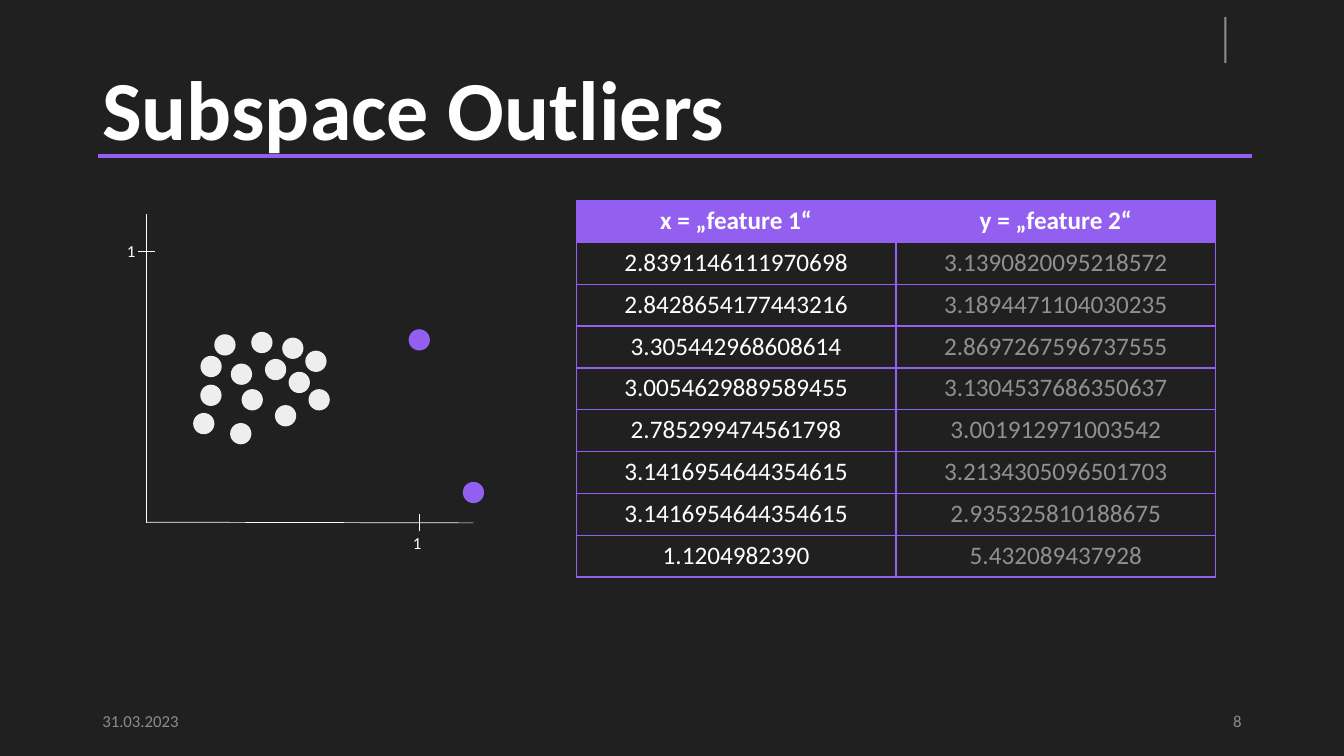
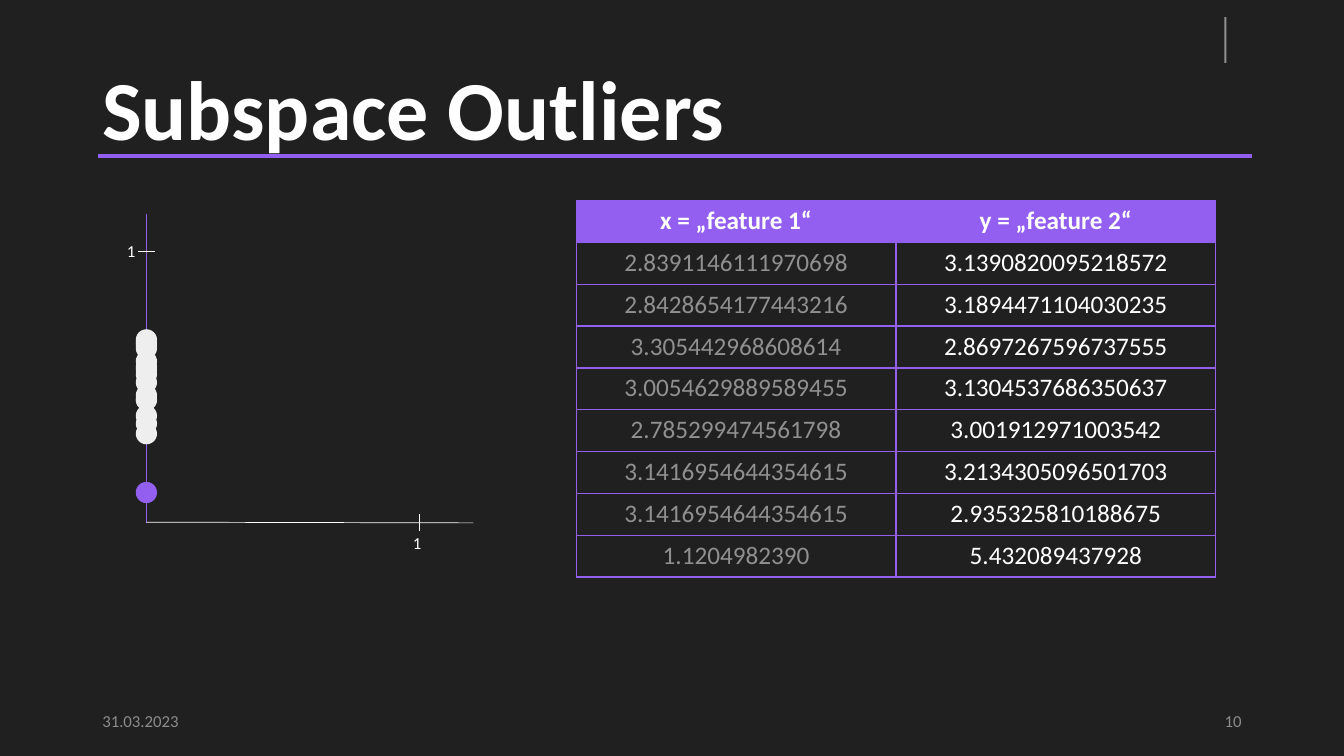
"""Builds two slides on outliers in a pair of features and in one feature."""
from dataclasses import dataclass
from typing import Any

from lxml.etree import SubElement
from pptx import Presentation
from pptx.dml.color import RGBColor
from pptx.enum.shapes import MSO_CONNECTOR, MSO_SHAPE
from pptx.enum.text import MSO_ANCHOR, PP_ALIGN
from pptx.oxml.ns import qn
from pptx.util import Pt

HUES = {
    "back": "202020",
    "text": "FFFFFF",
    "main": "925FF0",
    "dot": "EEEEEE",
    "dim": "909090",
    "foot": "8C8C8C",
}
FONT = "Calibri"
HEADS = ("x = „feature 1“", "y = „feature 2“")
ROWS = (
    ("2.8391146111970698", "3.1390820095218572"),
    ("2.8428654177443216", "3.1894471104030235"),
    ("3.305442968608614", "2.8697267596737555"),
    ("3.0054629889589455", "3.1304537686350637"),
    ("2.785299474561798", "3.001912971003542"),
    ("3.1416954644354615", "3.2134305096501703"),
    ("3.1416954644354615", "2.935325810188675"),
    ("1.1204982390", "5.432089437928"),
)
AXIS_X, AXIS_Y = 104.6, 373.5
TICK_X, TICK_Y = 299.5, 179.3
TICK = 6
SIZE = 15.2


@dataclass(frozen=True)
class Dot:
    """Centre of one data point."""
    x: float
    y: float


@dataclass(frozen=True)
class Page:
    """What sets one slide apart: number, lit column, flat dots, marked dots."""
    num: int
    lit: int
    flat: bool
    marked: tuple["Dot", ...]


EDGE = Dot(299.5, 242.8)
FAR = Dot(338.2, 351.8)
DOTS = (
    Dot(180.2, 285.6), Dot(225.7, 258.1), Dot(145.6, 302.6), Dot(172, 309.8),
    Dot(196.9, 264), Dot(213.8, 273.2), Dot(172.5, 267.3), Dot(150.8, 261.8),
    Dot(187.1, 244.7), Dot(160.7, 246.4), Dot(204, 297), Dot(209.2, 248.8),
    Dot(228, 285.6), Dot(150.7, 282.4), EDGE, FAR,
)
PAGES = (Page(8, 0, False, (EDGE, FAR)), Page(10, 1, True, (FAR,)))


def tint(name: str) -> RGBColor:
    """Return a named colour."""
    return RGBColor.from_string(HUES[name])


def style(para: Any, size: float, hue: str, bold: bool = False) -> None:
    """Format the runs of a paragraph."""
    for run in para.runs:
        run.font.name = FONT
        run.font.size = Pt(size)
        run.font.bold = bold
        run.font.color.rgb = tint(hue)


def write(slide: Any, text: str, left: float, top: float, width: float, height: float,
          size: float = 12, hue: str = "text", bold: bool = False,
          anchor: MSO_ANCHOR = MSO_ANCHOR.MIDDLE, align: PP_ALIGN = PP_ALIGN.LEFT) -> Any:
    """Add a text box and return its paragraph."""
    frame = slide.shapes.add_textbox(Pt(left), Pt(top), Pt(width), Pt(height)).text_frame
    frame.word_wrap = True
    frame.vertical_anchor = anchor
    frame.text = text
    para = frame.paragraphs[0]
    para.alignment = align
    style(para, size, hue, bold)
    return para


def rule(slide: Any, x1: float, y1: float, x2: float, y2: float,
         hue: str = "text", width: float = 0.5) -> None:
    """Draw a straight line."""
    line = slide.shapes.add_connector(MSO_CONNECTOR.STRAIGHT, Pt(x1), Pt(y1), Pt(x2), Pt(y2))
    line.line.color.rgb = tint(hue)
    line.line.width = Pt(width)
    SubElement(line.element.spPr, qn("a:effectLst"))


def solid(slide: Any, kind: MSO_SHAPE, left: float, top: float,
          width: float, height: float, hue: str) -> None:
    """Draw a filled shape with no outline."""
    shape = slide.shapes.add_shape(kind, Pt(left), Pt(top), Pt(width), Pt(height))
    shape.shadow.inherit = False
    shape.fill.solid()
    shape.fill.fore_color.rgb = tint(hue)
    shape.line.fill.background()


def frame(slide: Any, num: int) -> None:
    """Draw the background, title and footer that all slides share."""
    slide.background.fill.solid()
    slide.background.fill.fore_color.rgb = tint("back")
    solid(slide, MSO_SHAPE.RECTANGLE, 874.6, 12.2, 1.4, 32.7, "dim")
    title = write(slide, "Subspace Outliers", 66, 28.8, 828, 104.4, 60, bold=True)
    title.line_spacing = 0.9
    rule(slide, 70, 111.7, 894.2, 111.7, "main", 3)
    write(slide, "31.03.2023", 66, 500.5, 216, 28.8, hue="foot")
    write(slide, str(num), 678, 500.5, 216, 28.8, hue="foot", align=PP_ALIGN.RIGHT)


def plot(slide: Any, page: Page) -> None:
    """Draw the axes and the data points."""
    rule(slide, AXIS_X, AXIS_Y, AXIS_X, 152.7, "main" if page.flat else "text")
    rule(slide, 338.2, AXIS_Y, AXIS_X, AXIS_Y - 0.5)
    rule(slide, TICK_X, AXIS_Y + TICK, TICK_X, AXIS_Y - TICK)
    rule(slide, AXIS_X - TICK, TICK_Y, AXIS_X + TICK, TICK_Y)
    for left, top in ((287.8, 376.7), (83.6, 168.4)):
        write(slide, "1", left, top, 17.3, 21.8, anchor=MSO_ANCHOR.TOP)
    for dot in DOTS:
        left = (AXIS_X if page.flat else dot.x) - SIZE / 2
        hue = "main" if dot in page.marked else "dot"
        solid(slide, MSO_SHAPE.OVAL, left, dot.y - SIZE / 2, SIZE, SIZE, hue)


def border(cell: Any) -> None:
    """Give a cell a thin line on each side."""
    props = cell._tc.get_or_add_tcPr()
    for side in ("a:lnL", "a:lnR", "a:lnT", "a:lnB"):
        line = SubElement(props, qn(side), w=str(Pt(1)))
        fill = SubElement(line, qn("a:solidFill"))
        SubElement(fill, qn("a:srgbClr"), val=HUES["main"])


def grid(slide: Any, lit: int) -> None:
    """Add the table of values with one column lit."""
    data = (HEADS, *ROWS)
    table = slide.shapes.add_table(len(data), len(HEADS), Pt(411.6), Pt(143.3),
                                   Pt(456.8), Pt(269.1)).table
    table.horz_banding = False
    for i, row in enumerate(data):
        table.rows[i].height = Pt(29.9)
        for j, text in enumerate(row):
            head = i == 0
            cell = table.cell(i, j)
            border(cell)
            if head:
                cell.fill.solid()
                cell.fill.fore_color.rgb = tint("main")
            else:
                cell.fill.background()
            cell.text_frame.text = text
            para = cell.text_frame.paragraphs[0]
            para.alignment = PP_ALIGN.CENTER
            style(para, 18, "text" if head or j == lit else "dim", head)


def main() -> None:
    """Build and save the deck."""
    deck = Presentation()
    deck.slide_width, deck.slide_height = Pt(960), Pt(540)
    for page in PAGES:
        slide = deck.slides.add_slide(deck.slide_layouts[6])
        frame(slide, page.num)
        plot(slide, page)
        grid(slide, page.lit)
    deck.save("out.pptx")


if __name__ == "__main__":
    main()
